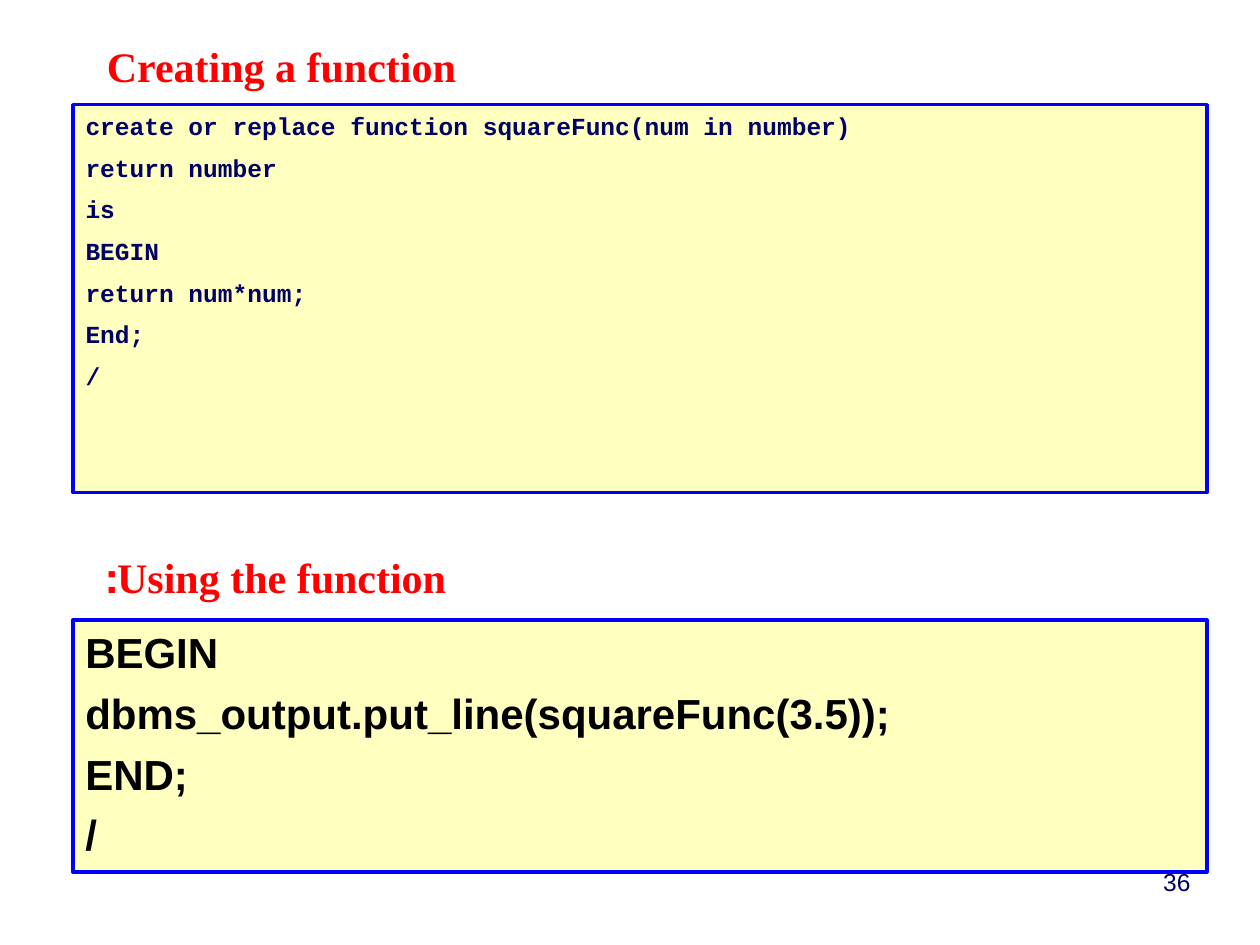
import pptx
import pptx.util
import pptx.dml.color
import pptx.enum.shapes
import pptx.enum.text
import pptx.oxml.ns
from lxml import etree

Cm, Pt = pptx.util.Cm, pptx.util.Pt
ALIGN = pptx.enum.text.PP_ALIGN
LEFT, WIDTH, HEADING_LEFT = 1.47, 22.86, 1.9

DEFINITION = [
    "create or replace function squareFunc(num in number)",
    "return number",
    "is",
    "BEGIN",
    "return num*num;",
    "End;",
    "/",
]
USAGE = ["BEGIN", "dbms_output.put_line(squareFunc(3.5));", "END;", "/"]


def color(value):
    return pptx.dml.color.RGBColor.from_string(value)


def add_child(parent, tag, **attributes):
    child = etree.SubElement(parent, pptx.oxml.ns.qn(tag))
    for key, value in attributes.items():
        child.set(key, value)
    return child


def place(s, box):
    s.left, s.top, s.width, s.height = (Cm(v) for v in box)


def write(s, lines, name, size, hex_color, bold=True, before=0,
          align=ALIGN.LEFT, hanging=0, rtl=False):
    tf = s.text_frame
    tf.word_wrap = True
    tf.auto_size = pptx.enum.text.MSO_AUTO_SIZE.NONE
    tf.vertical_anchor = pptx.enum.text.MSO_ANCHOR.TOP
    tf.text = "\n".join(lines)
    for p in tf.paragraphs:
        p.alignment = align
        p.space_before = Pt(before)
        props = p._p.get_or_add_pPr()
        props.set("marL", str(Cm(hanging)))
        props.set("indent", str(-Cm(hanging)))
        if rtl:
            props.set("rtl", "1")
        add_child(props, "a:buNone")
        p.font.name = name
        p.font.size = Pt(size)
        p.font.bold = bold
        p.font.color.rgb = color(hex_color)


def heading(s, box, text):
    place(s, box)
    write(s, [text], "Times New Roman", 24, "FF0000", before=15, rtl=True)


def code_panel(s, box, lines, name, size, hex_color, before):
    place(s, box)
    s.fill.solid()
    s.fill.fore_color.rgb = color("FFFF99")
    fill_color = s.fill._xPr.find(".//" + pptx.oxml.ns.qn("a:srgbClr"))
    add_child(fill_color, "a:alpha", val="62000")
    s.line.color.rgb = color("0000FF")
    s.line.width = Pt(2)
    write(s, lines, name, size, hex_color, before=before, hanging=0.95)


def page_number(s, box, number):
    place(s, box)
    s.text_frame.margin_left = s.text_frame.margin_right = Cm(0.13)
    write(s, [number], "Arial", 14, "000066", bold=False, align=ALIGN.RIGHT)


def main():
    prs = pptx.Presentation()
    prs.slide_width, prs.slide_height = Cm(25.4), Cm(19.05)
    slide = prs.slides.add_slide(prs.slide_layouts[1])
    shapes = slide.shapes

    code_panel(slide.placeholders[1], (LEFT, 2.11, WIDTH, 7.82),
               DEFINITION, "Courier New", 14, "000066", 7)
    usage = shapes.add_shape(pptx.enum.shapes.MSO_SHAPE.RECTANGLE, 0, 0, 0, 0)
    usage.shadow.inherit = False
    code_panel(usage, (LEFT, 12.5, WIDTH, 5.08), USAGE, "Arial", 24, "000000", 6)

    heading(shapes.title, (HEADING_LEFT, 0.69, 19.05, 1.27), "Creating a function")
    heading(shapes.add_textbox(0, 0, 0, 0), (HEADING_LEFT, 11, 9.96, 1.27),
            "Using the function:")
    page_number(shapes.add_textbox(0, 0, 0, 0), (18.21, 17.35, 5.92, 0.86), "36")
    prs.save("out.pptx")


if __name__ == "__main__":
    main()
